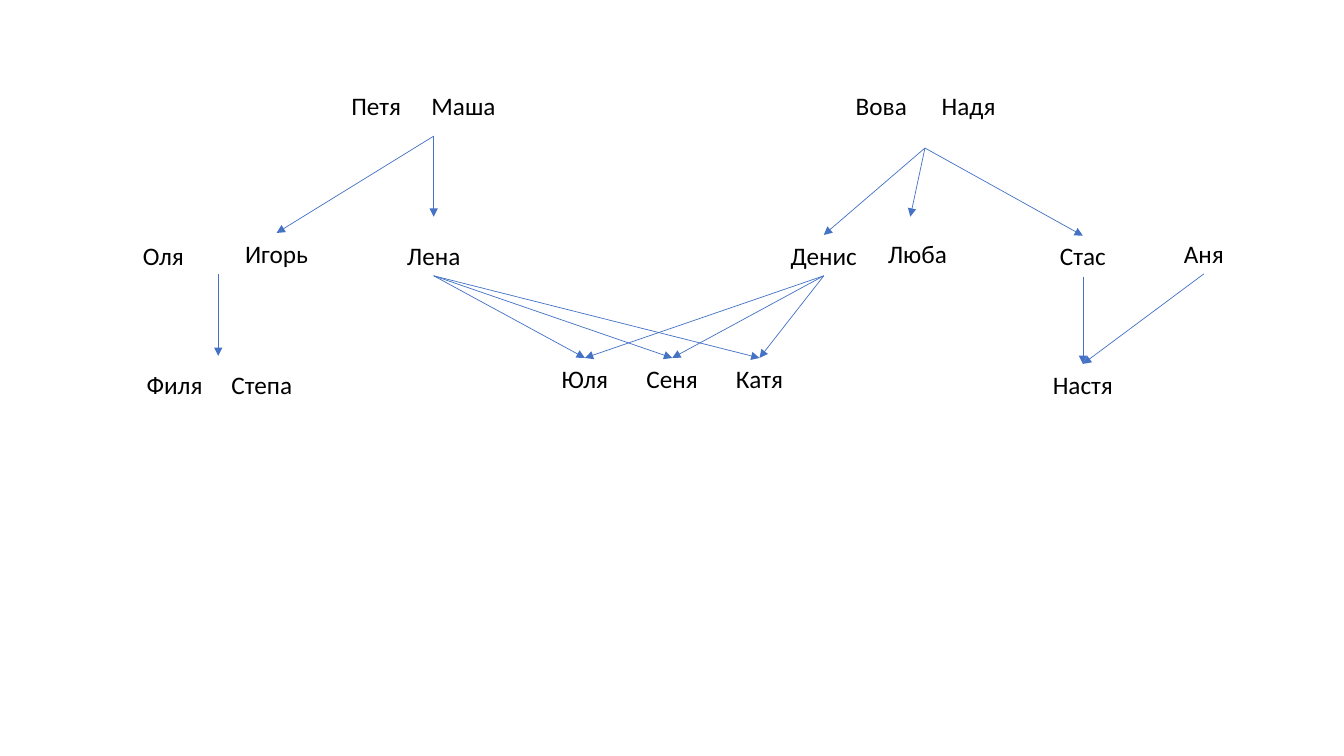
from dataclasses import dataclass

from lxml import etree
from pptx import Presentation
from pptx import util as u
from pptx.dml.color import RGBColor
from pptx.enum import shapes, text
from pptx.oxml import ns

BLACK = RGBColor(0x00, 0x00, 0x00)
BLUE = RGBColor(0x44, 0x72, 0xC4)
WIDE = 2.2
HIGH = 1.03
TOP, BOTTOM = 0, 2


@dataclass
class Kin:
    names: list[str]
    left: float
    top: float


@dataclass
class Point:
    x: float
    y: float


@dataclass
class Link:
    start: str | Point
    end: str | Point


KINS = [
    Kin(["Петя", "Маша"], 8.38, 2.16),
    Kin(["Вова", "Надя"], 21.11, 2.16),
    Kin(["Оля"], 3.02, 5.94),
    Kin(["Игорь"], 5.87, 5.87),
    Kin(["Лена"], 9.83, 5.92),
    Kin(["Денис"], 19.66, 5.92),
    Kin(["Люба"], 22.02, 5.87),
    Kin(["Стас"], 26.19, 5.94),
    Kin(["Аня"], 29.24, 5.87),
    Kin(["Филя", "Степа"], 3.3, 9.17),
    Kin(["Юля", "Сеня", "Катя"], 13.64, 9.02),
    Kin(["Настя"], 26.19, 9.17),
]

WEST = Point(10.93, 3.43)
EAST = Point(23.31, 3.73)

LINKS = [
    Link(WEST, "Игорь"),
    Link(WEST, Point(10.93, 5.46)),
    Link(EAST, "Денис"),
    Link(EAST, Point(22.94, 5.46)),
    Link(EAST, "Стас"),
    Link(Point(5.5, 6.91), Point(5.5, 8.97)),
    *[Link(name, child) for name in ("Лена", "Денис")
      for child in ("Юля", "Сеня", "Катя")],
    Link("Стас", "Настя"),
    Link("Аня", "Настя"),
]


def add_name(host, name: str, left: float, top: float):
    box = host.add_textbox(u.Cm(left), u.Cm(top), u.Cm(WIDE), u.Cm(HIGH))
    frame = box.text_frame
    frame.word_wrap = True
    frame.auto_size = text.MSO_AUTO_SIZE.SHAPE_TO_FIT_TEXT
    frame.text = name
    para = frame.paragraphs[0]
    para.alignment = text.PP_ALIGN.CENTER
    font = para.runs[0].font
    font.name = "Calibri"
    font.size = u.Pt(18)
    font.color.rgb = BLACK
    return box


def add_kin(tree, kin: Kin) -> dict:
    host = tree.add_group_shape().shapes if len(kin.names) > 1 else tree
    return {
        name: add_name(host, name, kin.left + i * WIDE, kin.top)
        for i, name in enumerate(kin.names)
    }


def get_spot(end: str | Point, boxes: dict, side: int) -> tuple[int, int]:
    if isinstance(end, Point):
        return u.Cm(end.x), u.Cm(end.y)
    box = boxes[end]
    return box.left + box.width // 2, box.top + box.height * side // BOTTOM


def add_link(tree, link: Link, boxes: dict) -> None:
    arrow = tree.add_connector(
        shapes.MSO_CONNECTOR.STRAIGHT,
        *get_spot(link.start, boxes, BOTTOM),
        *get_spot(link.end, boxes, TOP),
    )
    if isinstance(link.start, str):
        arrow.begin_connect(boxes[link.start], BOTTOM)
    if isinstance(link.end, str):
        arrow.end_connect(boxes[link.end], TOP)
    arrow.line.color.rgb = BLUE
    arrow.line.width = u.Pt(0.5)
    line = arrow.line._get_or_add_ln()
    etree.SubElement(line, ns.qn("a:tailEnd"), type="triangle")
    etree.SubElement(arrow._element.spPr, ns.qn("a:effectLst"))


def main() -> None:
    deck = Presentation()
    deck.slide_width = u.Cm(33.87)
    deck.slide_height = u.Cm(19.05)
    tree = deck.slides.add_slide(deck.slide_layouts[6]).shapes
    boxes = {}
    for kin in KINS:
        boxes.update(add_kin(tree, kin))
    for link in LINKS:
        add_link(tree, link, boxes)
    deck.save("out.pptx")


if __name__ == "__main__":
    main()
